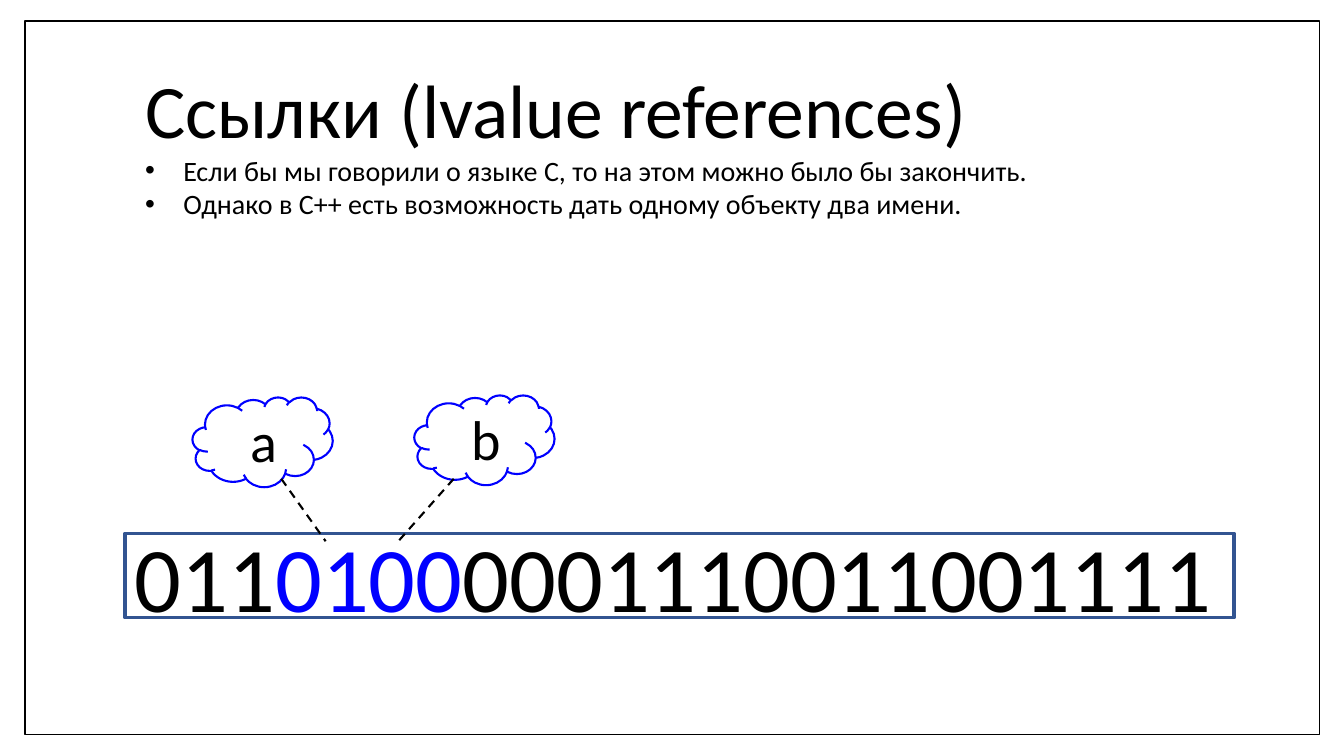
from dataclasses import dataclass

from lxml.etree import SubElement
from pptx import Presentation
from pptx.dml.color import RGBColor
from pptx.enum.dml import MSO_LINE
from pptx.enum.shapes import MSO_CONNECTOR, MSO_SHAPE
from pptx.enum.text import MSO_ANCHOR, MSO_AUTO_SIZE, PP_ALIGN
from pptx.oxml.ns import qn
from pptx.util import Emu, Pt

EMU_PER_PX = 9144  # 100 px to the inch


def px(n):
    return Emu(n * EMU_PER_PX)


@dataclass(frozen=True)
class Theme:
    font: str = "Calibri"
    ink: str = "000000"
    paper: str = "FFFFFF"
    accent: str = "0000FF"
    memory_border: str = "325491"
    title: int = 54
    body: int = 20
    bits: int = 66
    name: int = 40


def add_text(p, text, *, theme, size, color=None, align=PP_ALIGN.LEFT):
    p.alignment = align
    r = p.add_run()
    r.text = text
    r.font.name = theme.font
    r.font.size = Pt(size)
    r.font.color.rgb = RGBColor.from_string(color or theme.ink)


def add_bullet(p, indent):
    pPr = p._p.get_or_add_pPr()
    pPr.set("marL", str(px(indent)))
    pPr.set("indent", str(-px(indent)))
    SubElement(pPr, qn("a:buFont"), typeface="Arial")
    SubElement(pPr, qn("a:buChar"), char="•")


class SlideBuilder:
    def __init__(self, slide, theme):
        self.s = slide
        self.theme = theme

    def shape(self, kind, left, top, width, height, line, weight):
        sp = self.s.shapes.add_shape(kind, px(left), px(top), px(width), px(height))
        sp.shadow.inherit = False
        sp.fill.solid()
        sp.fill.fore_color.rgb = RGBColor.from_string(self.theme.paper)
        sp.line.color.rgb = RGBColor.from_string(line)
        sp.line.width = Pt(weight)
        sp.text_frame.vertical_anchor = MSO_ANCHOR.MIDDLE
        return sp

    def memory(self, left, top, width, height, parts):
        """Draw the memory strip; parts are (bits, colour) pairs."""
        sp = self.shape(MSO_SHAPE.RECTANGLE, left, top, width, height,
                        self.theme.memory_border, 2.25)
        p = sp.text_frame.paragraphs[0]
        for bits, color in parts:
            add_text(p, bits, theme=self.theme, size=self.theme.bits, color=color)

    def name_cloud(self, name, left, top):
        sp = self.shape(MSO_SHAPE.CLOUD, left, top, 139, 89, self.theme.accent, 1.5)
        add_text(sp.text_frame.paragraphs[0], f" {name}", theme=self.theme,
                 size=self.theme.name, align=PP_ALIGN.CENTER)

    def dashed_line(self, x1, y1, x2, y2):
        line = self.s.shapes.add_connector(
            MSO_CONNECTOR.STRAIGHT, px(x1), px(y1), px(x2), px(y2))
        line.line.color.rgb = RGBColor.from_string(self.theme.ink)
        line.line.width = Pt(1.5)
        line.line.dash_style = MSO_LINE.DASH
        SubElement(line._element.spPr, qn("a:effectLst"))

    def heading(self, left, top, width, height, title, bullets):
        box = self.s.shapes.add_textbox(px(left), px(top), px(width), px(height))
        tf = box.text_frame
        tf.word_wrap = True
        tf.auto_size = MSO_AUTO_SIZE.SHAPE_TO_FIT_TEXT
        add_text(tf.paragraphs[0], title, theme=self.theme, size=self.theme.title)
        for bullet in bullets:
            p = tf.add_paragraph()
            add_text(p, bullet, theme=self.theme, size=self.theme.body)
            add_bullet(p, 38)


def main():
    prs = Presentation()
    prs.slide_width, prs.slide_height = px(1333), px(750)
    theme = Theme()
    slide = SlideBuilder(prs.slides.add_slide(prs.slide_layouts[6]), theme)

    slide.shape(MSO_SHAPE.RECTANGLE, 25, 21, 1284, 708, theme.ink, 1)
    slide.memory(124, 529, 1100, 84, [
        ("011", theme.ink),
        ("0100", theme.accent),
        ("0001110011001111", theme.ink),
    ])
    for name, left, top, line_from, line_to in [
        ("a", 191, 394, 279, 323),
        ("b", 411, 392, 450, 395),
    ]:
        slide.name_cloud(name, left, top)
        slide.dashed_line(line_from, 475, line_to, 537)
    slide.heading(134, 57, 901, 168, "Ссылки (lvalue references)", [
        "Если бы мы говорили о языке С, то на этом можно было бы закончить.",
        "Однако в С++ есть возможность дать одному объекту два имени.",
    ])
    prs.save("out.pptx")


if __name__ == "__main__":
    main()
